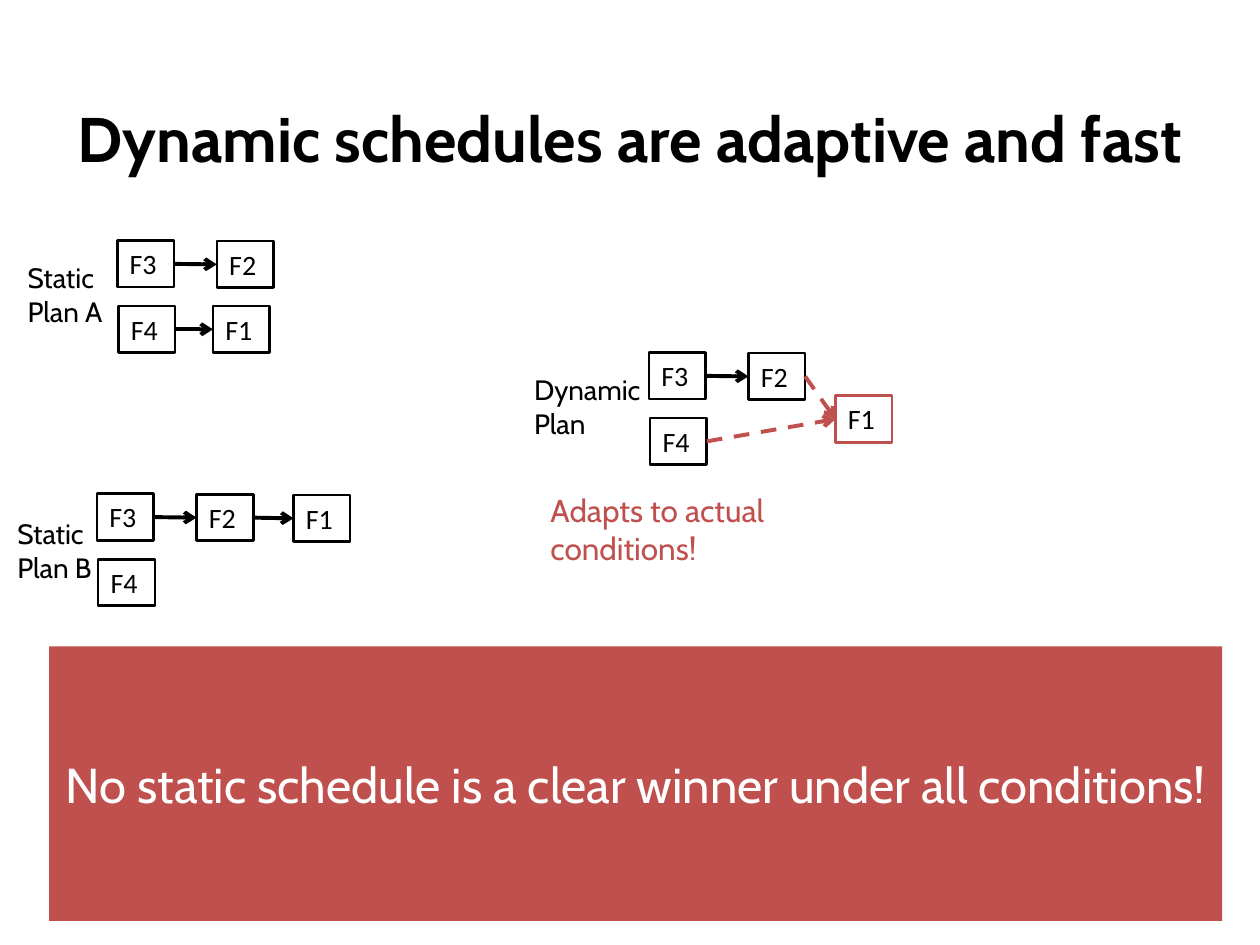
from lxml.etree import SubElement
from pptx import Presentation
from pptx.dml.color import RGBColor
from pptx.enum.dml import MSO_LINE
from pptx.enum.shapes import MSO_CONNECTOR, MSO_SHAPE
from pptx.enum.text import MSO_ANCHOR, MSO_AUTO_SIZE, PP_ALIGN
from pptx.oxml.ns import qn
from pptx.util import Pt

COLORS = {"ink": "000000", "red": "C0504D", "white": "FFFFFF"}
NODE_W, NODE_H = 32.4, 26.6
RIGHT_SITE, LEFT_SITE = 3, 1

# Node offsets from the first node of a plan
START = {"F3": (0, 0), "F4": (0.7, 37.4), "F2": (56.9, 0.3)}

# Each plan: first node, label box, place of F1, plain and dashed arrows
PLANS = [
    {"origin": (67, 137.5), "label": ["Static", "Plan A"],
     "label_box": (-58.3, 8, 67), "F1": (54.7, 37.4),
     "arrows": [("F3", "F2"), ("F4", "F1")], "adaptive": []},
    {"origin": (55.4, 282.2), "label": ["Static", "Plan B"],
     "label_box": (-52.6, 9.4, 67), "F1": (112.3, 0.7),
     "arrows": [("F3", "F2"), ("F2", "F1")], "adaptive": []},
    {"origin": (370.8, 201.5), "label": ["Dynamic", "Plan"],
     "label_box": (-72.7, 8, 88), "F1": (106.6, 24.7),
     "arrows": [("F3", "F2")], "adaptive": [("F4", "F1"), ("F2", "F1")]},
]


def color(name):
    return RGBColor.from_string(COLORS[name])


def write(frame, lines, size, ink="ink", font="Cabin", align=PP_ALIGN.LEFT, bold=False):
    frame.word_wrap = True
    for index, line in enumerate(lines):
        paragraph = frame.paragraphs[0] if index == 0 else frame.add_paragraph()
        paragraph.alignment = align
        run = paragraph.add_run()
        run.text = line
        run.font.size = Pt(size)
        run.font.name = font
        run.font.bold = bold
        run.font.color.rgb = color(ink)


def add_title(slide, left, top, width, height):
    title = slide.shapes.title
    title.left, title.top, title.width, title.height = map(Pt, (left, top, width, height))
    frame = title.text_frame
    frame.vertical_anchor = MSO_ANCHOR.MIDDLE
    write(frame, ["Dynamic schedules are adaptive and fast"], 36,
          align=PP_ALIGN.CENTER, bold=True)
    frame.paragraphs[0].line_spacing = 0.9


def add_text(shapes, left, top, width, height, lines, size, ink="ink"):
    box = shapes.add_textbox(Pt(left), Pt(top), Pt(width), Pt(height))
    write(box.text_frame, lines, size, ink)
    box.text_frame.auto_size = MSO_AUTO_SIZE.SHAPE_TO_FIT_TEXT


def add_node(shapes, left, top, name, outline):
    node = shapes.add_shape(MSO_SHAPE.RECTANGLE, Pt(left), Pt(top), Pt(NODE_W), Pt(NODE_H))
    node.shadow.inherit = False
    node.fill.background()
    node.line.color.rgb = color(outline)
    node.line.width = Pt(1.5)
    node.text_frame.vertical_anchor = MSO_ANCHOR.TOP
    write(node.text_frame, [name], 16, font="Calibri")
    node.text_frame.auto_size = MSO_AUTO_SIZE.SHAPE_TO_FIT_TEXT
    return node


def add_arrow(shapes, source, target, ink, dashed):
    arrow = shapes.add_connector(MSO_CONNECTOR.STRAIGHT, 0, 0, 0, 0)
    arrow.begin_connect(source, RIGHT_SITE)
    arrow.end_connect(target, LEFT_SITE)
    arrow.line.color.rgb = color(ink)
    arrow.line.width = Pt(2.25)
    if dashed:
        arrow.line.dash_style = MSO_LINE.DASH
    properties = arrow.line._get_or_add_ln()
    SubElement(properties, qn("a:tailEnd"), type="arrow")
    SubElement(properties.getparent(), qn("a:effectLst"))


def add_plan(slide, plan):
    shapes = slide.shapes.add_group_shape().shapes
    left, top = plan["origin"]
    nodes = {}
    for name, (dx, dy) in {**START, "F1": plan["F1"]}.items():
        outline = "red" if name == "F1" and plan["adaptive"] else "ink"
        nodes[name] = add_node(shapes, left + dx, top + dy, name, outline)
    for source, target in plan["arrows"]:
        add_arrow(shapes, nodes[source], nodes[target], "ink", False)
    for source, target in plan["adaptive"]:
        add_arrow(shapes, nodes[source], nodes[target], "red", True)
    dx, dy, width = plan["label_box"]
    add_text(shapes, left + dx, top + dy, width, 46, plan["label"], 16)


def add_conclusion(slide, left, top, width, height):
    banner = slide.shapes.add_shape(MSO_SHAPE.RECTANGLE, Pt(left), Pt(top), Pt(width), Pt(height))
    banner.shadow.inherit = False
    banner.fill.solid()
    banner.fill.fore_color.rgb = color("red")
    banner.line.fill.background()
    banner.text_frame.vertical_anchor = MSO_ANCHOR.MIDDLE
    write(banner.text_frame, ["No static schedule is a clear winner under all conditions!"],
          28, "white", align=PP_ALIGN.CENTER)


def main():
    deck = Presentation()
    deck.slide_width, deck.slide_height = Pt(720), Pt(540)
    slide = deck.slides.add_slide(deck.slide_layouts[5])

    add_title(slide, 33.3, 28.8, 653, 104.4)
    for plan in PLANS:
        add_plan(slide, plan)
    add_conclusion(slide, 28, 369.3, 670.3, 157)
    # Remark under the dynamic plan
    add_text(slide.shapes, 307.5, 277.2, 222, 29, ["Adapts to actual conditions!"], 18, "red")

    deck.save("out.pptx")


if __name__ == "__main__":
    main()
